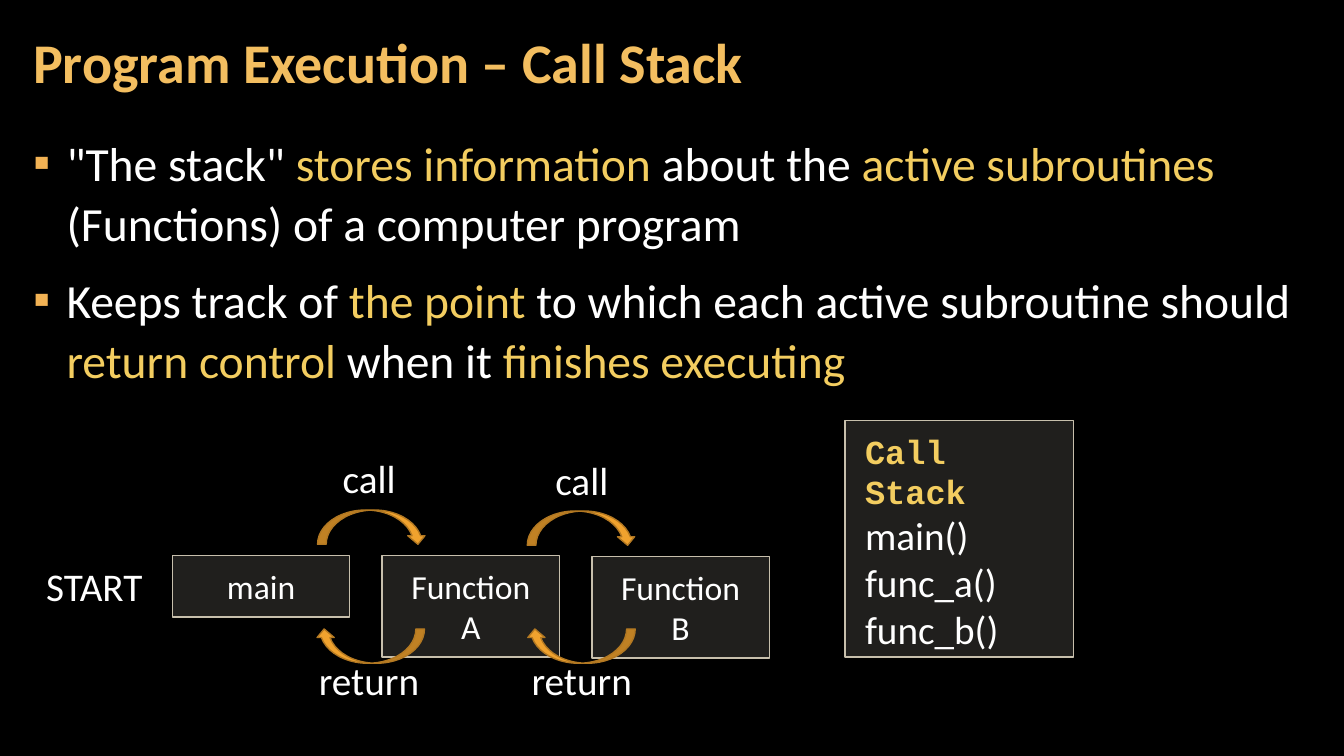
from dataclasses import dataclass

from lxml import etree
from pptx import Presentation
from pptx.dml.color import RGBColor
from pptx.enum.shapes import MSO_SHAPE
from pptx.enum.text import MSO_ANCHOR, PP_ALIGN
from pptx.oxml.ns import qn
from pptx.util import Emu, Pt

RECTANGLE = MSO_SHAPE.RECTANGLE
CURVED_ARROW = MSO_SHAPE.CURVED_RIGHT_ARROW
TOP, MIDDLE = MSO_ANCHOR.TOP, MSO_ANCHOR.MIDDLE
LEFT, CENTER = PP_ALIGN.LEFT, PP_ALIGN.CENTER

EMU_PER_PX = 9144  # 100 px to the inch
WHITE, YELLOW, TITLE_GOLD, BULLET_GOLD = "FFFFFF", "F3CD60", "F3BE60", "F2B254"
ARROW_FILL, ARROW_LINE = "F0A22E", "B27822"
BOX_FILL, BOX_LINE = "D9D5C7", "C7BFAC"
BODY_FONT, CODE_FONT = "Calibri", "Courier New"


@dataclass(frozen=True)
class Area:
    left: int
    top: int
    width: int
    height: int


@dataclass(frozen=True)
class Label:
    text: str
    area: Area


@dataclass(frozen=True)
class Jump:
    """A curved arrow with its label, going from one function to another."""
    label: Label
    arrow: Area
    flip: str


# Highlighted phrases stand at the odd positions.
BULLETS = (
    ('"The stack"', " stores information", " about the ", "active subroutines",
     " (Functions) of a computer program"),
    ("Keeps track of ", "the point", " to which each active subroutine should ",
     "return control", " when it ", "finishes executing"),
)
FUNCTIONS = (
    Label("main", Area(171, 551, 176, 61)),
    Label("Function A", Area(379, 551, 176, 101)),
    Label("Function B", Area(587, 552, 176, 101)),
)
JUMPS = (
    Jump(Label("call", Area(310, 453, 112, 43)), Area(352, 469, 34, 108), "flipV"),
    Jump(Label("call", Area(521, 455, 112, 43)), Area(560, 470, 34, 108), "flipV"),
    Jump(Label("return", Area(298, 653, 136, 43)), Area(350, 587, 34, 108), "flipH"),
    Jump(Label("return", Area(509, 653, 136, 43)), Area(559, 587, 34, 108), "flipH"),
)
START = Label("START", Area(33, 560, 121, 43))
STACK_HEADING = "Call Stack"
STACK_FRAMES = ("main()", "func_a()", "func_b()")


def px(length: int) -> Emu:
    return Emu(length * EMU_PER_PX)


def place(area: Area) -> tuple:
    return px(area.left), px(area.top), px(area.width), px(area.height)


def rgb(color: str) -> RGBColor:
    return RGBColor.from_string(color)


def set_frame(frame, anchor, side: int, edge: int) -> None:
    frame.word_wrap = True
    frame.vertical_anchor = anchor
    frame.margin_left = frame.margin_right = px(side)
    frame.margin_top = frame.margin_bottom = px(edge)


def style(font, size: int, color: str = WHITE, name: str = BODY_FONT, bold: bool = False) -> None:
    font.name, font.size, font.bold = name, Pt(size), bold
    font.color.rgb = rgb(color)


def add_text(slide, area: Area, anchor, side: int = 0, edge: int = 0):
    frame = slide.shapes.add_textbox(*place(area)).text_frame
    set_frame(frame, anchor, side, edge)
    return frame


def add_figure(slide, kind, area: Area, fill: str, line: str):
    figure = slide.shapes.add_shape(kind, *place(area))
    figure.shadow.inherit = False
    figure.fill.solid()
    figure.fill.fore_color.rgb = rgb(fill)
    figure.line.color.rgb = rgb(line)
    figure.line.width = Pt(1)
    return figure


def add_box(slide, area: Area):
    """Add a box with a 15 % opaque fill and return its text frame."""
    box = add_figure(slide, RECTANGLE, area, BOX_FILL, BOX_LINE)
    tint = box._element.spPr.find(qn("a:solidFill"))[0]
    etree.SubElement(tint, qn("a:alpha"), val="15000")
    set_frame(box.text_frame, TOP, 20, 10)
    return box.text_frame


def add_label(slide, label: Label) -> None:
    frame = add_text(slide, label.area, MIDDLE)
    frame.text = label.text
    frame.paragraphs[0].alignment = CENTER
    style(frame.paragraphs[0].runs[0].font, 28)


def add_jump(slide, jump: Jump) -> None:
    arrow = add_figure(slide, CURVED_ARROW, jump.arrow, ARROW_FILL, ARROW_LINE)
    arrow.rotation = 90
    arrow._element.spPr.find(qn("a:xfrm")).set(jump.flip, "1")
    add_label(slide, jump.label)


def add_function(slide, function: Label) -> None:
    frame = add_box(slide, function.area)
    frame.text = function.text
    frame.paragraphs[0].alignment = CENTER
    style(frame.paragraphs[0].runs[0].font, 24)


def add_title(slide) -> None:
    frame = add_text(slide, Area(21, 4, 1047, 121), MIDDLE, 12, 4)
    frame.text = "Program Execution – Call Stack"
    frame.paragraphs[0].line_spacing = 0.9
    style(frame.paragraphs[0].runs[0].font, 40, TITLE_GOLD, bold=True)


def set_bullet(paragraph) -> None:
    properties = paragraph._p.get_or_add_pPr()
    properties.set("marL", str(px(33)))
    properties.set("indent", str(px(-33)))
    bullet_color = etree.SubElement(properties, qn("a:buClr"))
    etree.SubElement(bullet_color, qn("a:srgbClr"), val=BULLET_GOLD)
    etree.SubElement(properties, qn("a:buFont"), typeface=BODY_FONT)
    etree.SubElement(properties, qn("a:buChar"), char="▪")


def add_bullets(slide) -> None:
    frame = add_text(slide, Area(21, 126, 1291, 609), TOP, 12, 4)
    for number, phrases in enumerate(BULLETS):
        paragraph = frame.add_paragraph() if number else frame.paragraphs[0]
        set_bullet(paragraph)
        paragraph.line_spacing = 1.05
        paragraph.space_before = Pt(6 if number else 0)
        paragraph.space_after = Pt(6)
        for position, phrase in enumerate(phrases):
            run = paragraph.add_run()
            run.text = phrase
            style(run.font, 34, YELLOW if position % 2 else WHITE)


def add_call_stack(slide) -> None:
    frame = add_box(slide, Area(838, 417, 227, 235))
    frame.text = "\n".join((STACK_HEADING, *STACK_FRAMES))
    heading, *calls = frame.paragraphs
    heading.alignment = LEFT
    style(heading.runs[0].font, 24, YELLOW, CODE_FONT, bold=True)
    for call in calls:
        call.alignment = LEFT
        style(call.runs[0].font, 28)


def main() -> None:
    deck = Presentation()
    deck.slide_width, deck.slide_height = px(1333), px(750)
    slide = deck.slides.add_slide(deck.slide_layouts[6])
    slide.background.fill.solid()
    slide.background.fill.fore_color.rgb = rgb("000000")
    add_title(slide)
    add_bullets(slide)
    add_call_stack(slide)
    for function in FUNCTIONS:
        add_function(slide, function)
    add_label(slide, START)
    for jump in JUMPS:
        add_jump(slide, jump)
    deck.save("out.pptx")


if __name__ == "__main__":
    main()
